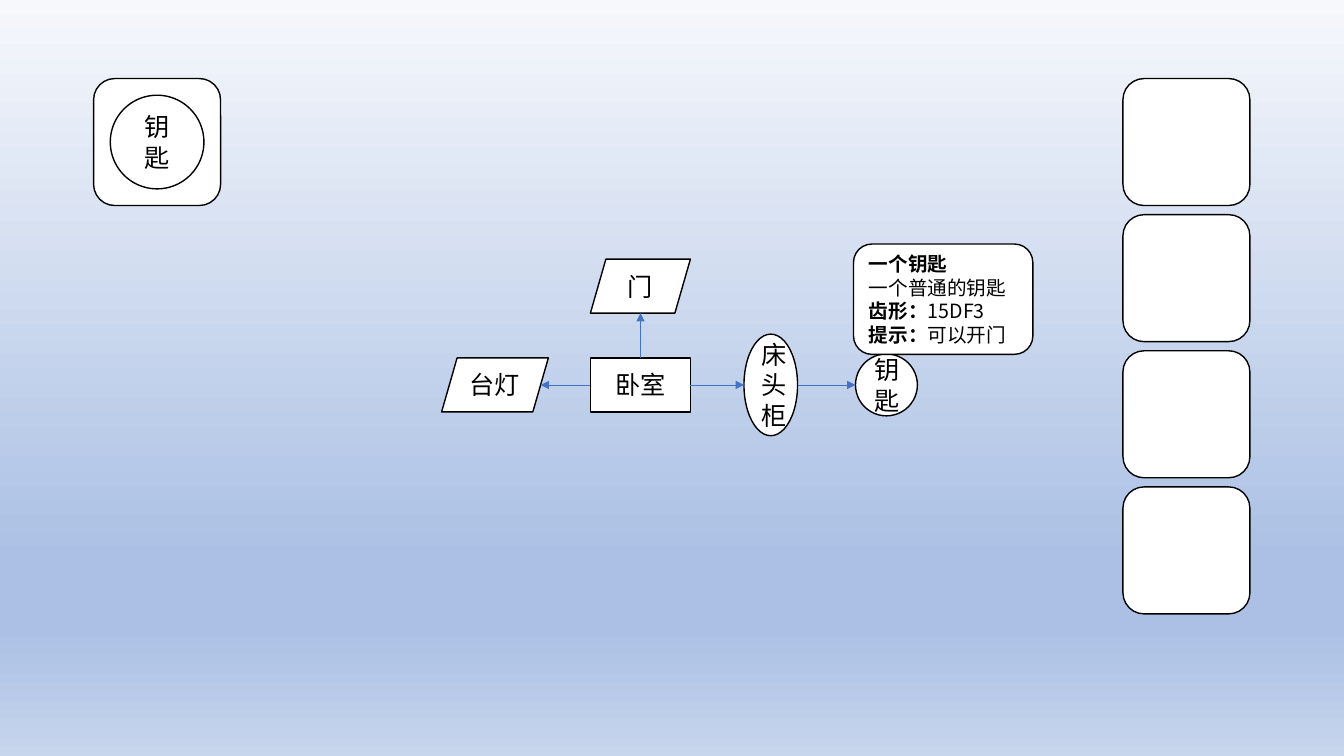
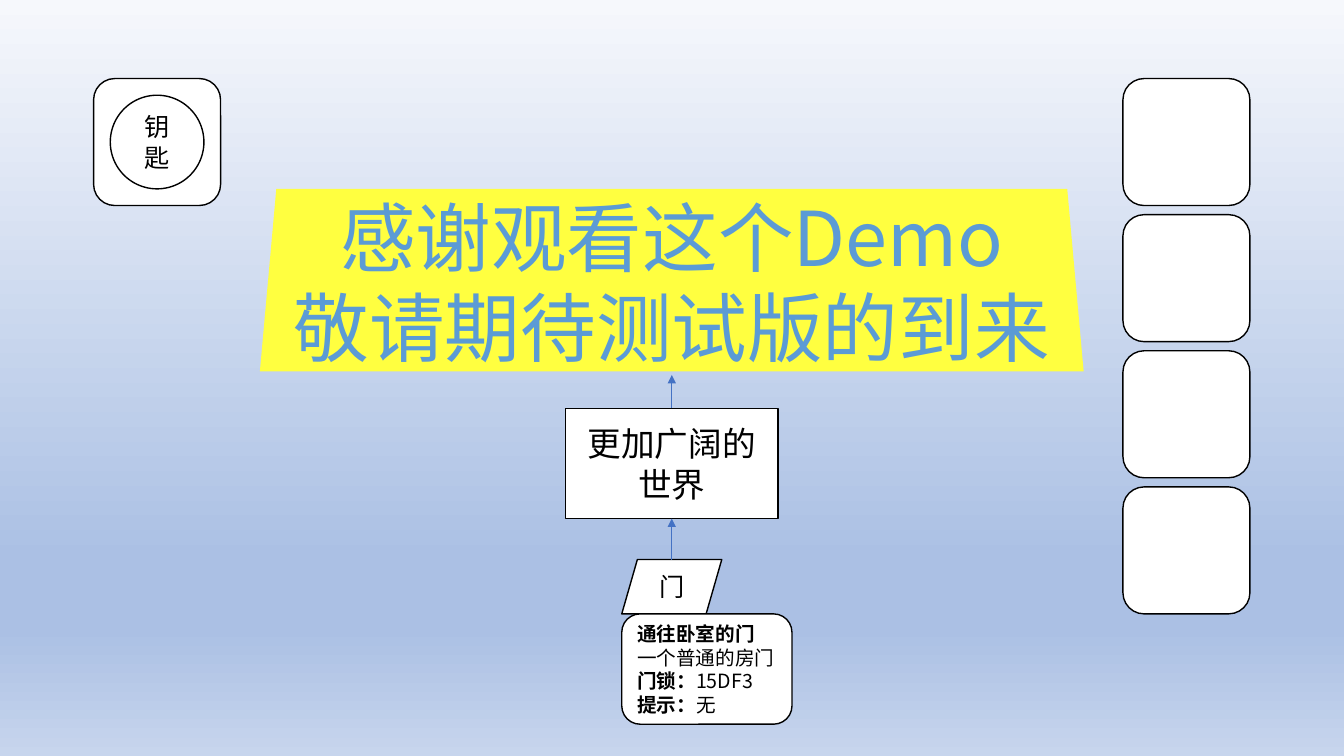
import pptx
import pptx.util
import pptx.dml.color
import pptx.enum.shapes
import pptx.enum.text
import pptx.oxml
import pptx.oxml.ns
from lxml import etree

Cm, Pt = pptx.util.Cm, pptx.util.Pt
SHAPE = pptx.enum.shapes.MSO_SHAPE
ALIGN = pptx.enum.text.PP_ALIGN
qn = pptx.oxml.ns.qn

FONT = "Noto Sans CJK SC"
COLORS = {"paper": "FFFFFF", "ink": "000000", "arrow": "4472C4",
          "banner": "FFFF40", "banner_text": "5B9BD5"}
SKY = [(0, "F6F8FC"), (74, "ABC0E4"), (83, "ABC0E4"), (100, "C7D5ED")]

TOP, LEFT, BOTTOM, RIGHT = range(4)  # connection sites of a rectangle
SLANT = 0.287
BANNER_TAPER = 0.09

# Inventory slots, in cm
SLOT = 3.2
SLOT_PITCH = 3.43
SLOT_TOP = 1.98
HELD_LEFT, BAG_LEFT = 2.36, 28.3
BAG_SLOTS = 4
HELD_ITEM, HELD_SIZE = "钥匙", 2.36

# name: (preset, (left, top, width, height) in cm, text, format)
# Text is a string or a list of paragraphs, each a list of (text, bold).
CARD = {"size": 14, "align": ALIGN.LEFT}
BANNER = {"size": 54, "color": "banner_text", "fill": "banner", "line": None,
          "adjust": BANNER_TAPER, "wrap": False}
SLIDES = [
    {"nodes": {
        "room": (SHAPE.RECTANGLE, (14.88, 9.02, 2.52, 1.36), "卧室", {}),
        "door": (SHAPE.PARALLELOGRAM, (14.88, 6.53, 2.52, 1.36), "门", {"adjust": SLANT}),
        "cabinet": (SHAPE.OVAL, (18.75, 8.42, 1.35, 2.56), "床头柜", {}),
        "lamp": (SHAPE.PARALLELOGRAM, (11.13, 9.02, 2.69, 1.36), "台灯", {"adjust": SLANT}),
        "key": (SHAPE.OVAL, (21.56, 8.92, 1.56, 1.56), "钥匙", {}),
        "key_card": (SHAPE.ROUNDED_RECTANGLE, (21.51, 6.15, 4.52, 2.78), [
            [("一个钥匙", True)],
            [("一个普通的钥匙", False)],
            [("齿形：", True), ("15DF3", False)],
            [("提示：", True), ("可以开门", False)]], CARD)},
     "arrows": [("room", TOP, "door", 0), ("room", RIGHT, "cabinet", 0),
                ("room", LEFT, "lamp", 0), ("cabinet", RIGHT, "key", 0)]},
    {"nodes": {
        "door": (SHAPE.PARALLELOGRAM, (15.67, 14.1, 2.52, 1.37), "门", {"adjust": SLANT}),
        "door_card": (SHAPE.ROUNDED_RECTANGLE, (15.67, 15.47, 4.29, 2.78), [
            [("通往卧室的门", True)],
            [("一个普通的房门", False)],
            [("门锁：", True), ("15DF3", False)],
            [("提示：", True), ("无", False)]], CARD),
        "world": (SHAPE.RECTANGLE, (14.25, 10.29, 5.36, 2.78), "更加广阔的世界", {"size": 24}),
        "banner": (SHAPE.TRAPEZOID, (6.55, 4.76, 20.76, 4.6),
                   [[("感谢观看这个Demo", False)], [("敬请期待测试版的到来", False)]], BANNER)},
     "arrows": [("door", TOP, "world", 0), ("world", TOP, "banner", 0.09)]},
]


def rgb(name):
    return pptx.dml.color.RGBColor.from_string(COLORS[name])


def write(sp, text, size=18, color="ink", align=ALIGN.CENTER, wrap=True):
    tf = sp.text_frame
    tf.word_wrap = wrap
    tf.vertical_anchor = pptx.enum.text.MSO_ANCHOR.MIDDLE
    paragraphs = [[(text, False)]] if isinstance(text, str) else text
    for i, runs in enumerate(paragraphs):
        p = tf.paragraphs[0] if i == 0 else tf.add_paragraph()
        p.alignment = align
        for words, bold in runs:
            r = p.add_run()
            r.text = words
            r.font.size = Pt(size)
            r.font.bold = bold
            r.font.name = FONT
            r.font.color.rgb = rgb(color)
            etree.SubElement(r.font._element, qn("a:ea"), typeface=FONT)


def add_node(s, preset, box, text="", fill="paper", line="ink", adjust=None, **fmt):
    sp = s.shapes.add_shape(preset, *map(Cm, box))
    sp.shadow.inherit = False
    sp.fill.solid()
    sp.fill.fore_color.rgb = rgb(fill)
    if line:
        sp.line.color.rgb = rgb(line)
        sp.line.width = Pt(1)
    else:
        sp.line.fill.background()
    if adjust is not None:
        sp.adjustments[0] = adjust
    if text:
        write(sp, text, **fmt)
    return sp


def side_middle(sp, side):
    """Middle of a side, allowing for the slant of a parallelogram."""
    x, y = sp.left + sp.width // 2, sp.top + sp.height // 2
    inset = 0
    if sp.auto_shape_type == SHAPE.PARALLELOGRAM:
        inset = int(sp.adjustments[0] * sp.height / 2)
    return {TOP: (x, sp.top), BOTTOM: (x, sp.top + sp.height),
            LEFT: (sp.left + inset, y),
            RIGHT: (sp.left + sp.width - inset, y)}[side]


def add_arrow(s, source, side, target, gap):
    """Arrow from a side of source to the facing side of target, gap cm below it."""
    facing = (side + 2) % 4
    x, y = side_middle(target, facing)
    c = s.shapes.add_connector(pptx.enum.shapes.MSO_CONNECTOR.STRAIGHT,
                               *side_middle(source, side), x, y + Cm(gap))
    if source.auto_shape_type == SHAPE.RECTANGLE:
        c.begin_connect(source, side)
    if target.auto_shape_type == SHAPE.RECTANGLE:
        c.end_connect(target, facing)
    c.line.color.rgb = rgb("arrow")
    c.line.width = Pt(0.5)
    etree.SubElement(c.line._get_or_add_ln(), qn("a:tailEnd"), type="triangle")
    etree.SubElement(c._element.spPr, qn("a:effectLst"))


def add_inventory(s):
    slots = [(HELD_LEFT, SLOT_TOP)]
    slots += [(BAG_LEFT, SLOT_TOP + i * SLOT_PITCH) for i in range(BAG_SLOTS)]
    for left, top in slots:
        add_node(s, SHAPE.ROUNDED_RECTANGLE, (left, top, SLOT, SLOT))
    margin = (SLOT - HELD_SIZE) / 2
    add_node(s, SHAPE.OVAL, (HELD_LEFT + margin, SLOT_TOP + margin, HELD_SIZE, HELD_SIZE),
             HELD_ITEM)


def paint_background(master):
    fill = master.background.fill
    fill.gradient()
    fill.gradient_angle = 270
    stops = fill.gradient_stops[0]._gs.getparent()
    for gs in list(stops):
        stops.remove(gs)
    for percent, color in SKY:
        gs = etree.SubElement(stops, qn("a:gs"), pos=str(percent * 1000))
        etree.SubElement(gs, qn("a:srgbClr"), val=color)


def main():
    prs = pptx.Presentation()
    prs.slide_width, prs.slide_height = Cm(33.87), Cm(19.05)
    paint_background(prs.slide_master)
    for content in SLIDES:
        s = prs.slides.add_slide(prs.slide_layouts[6])
        add_inventory(s)
        nodes = {name: add_node(s, preset, box, text, **fmt)
                 for name, (preset, box, text, fmt) in content["nodes"].items()}
        for source, side, target, gap in content["arrows"]:
            add_arrow(s, nodes[source], side, nodes[target], gap)
    prs.save("out.pptx")


if __name__ == "__main__":
    main()
